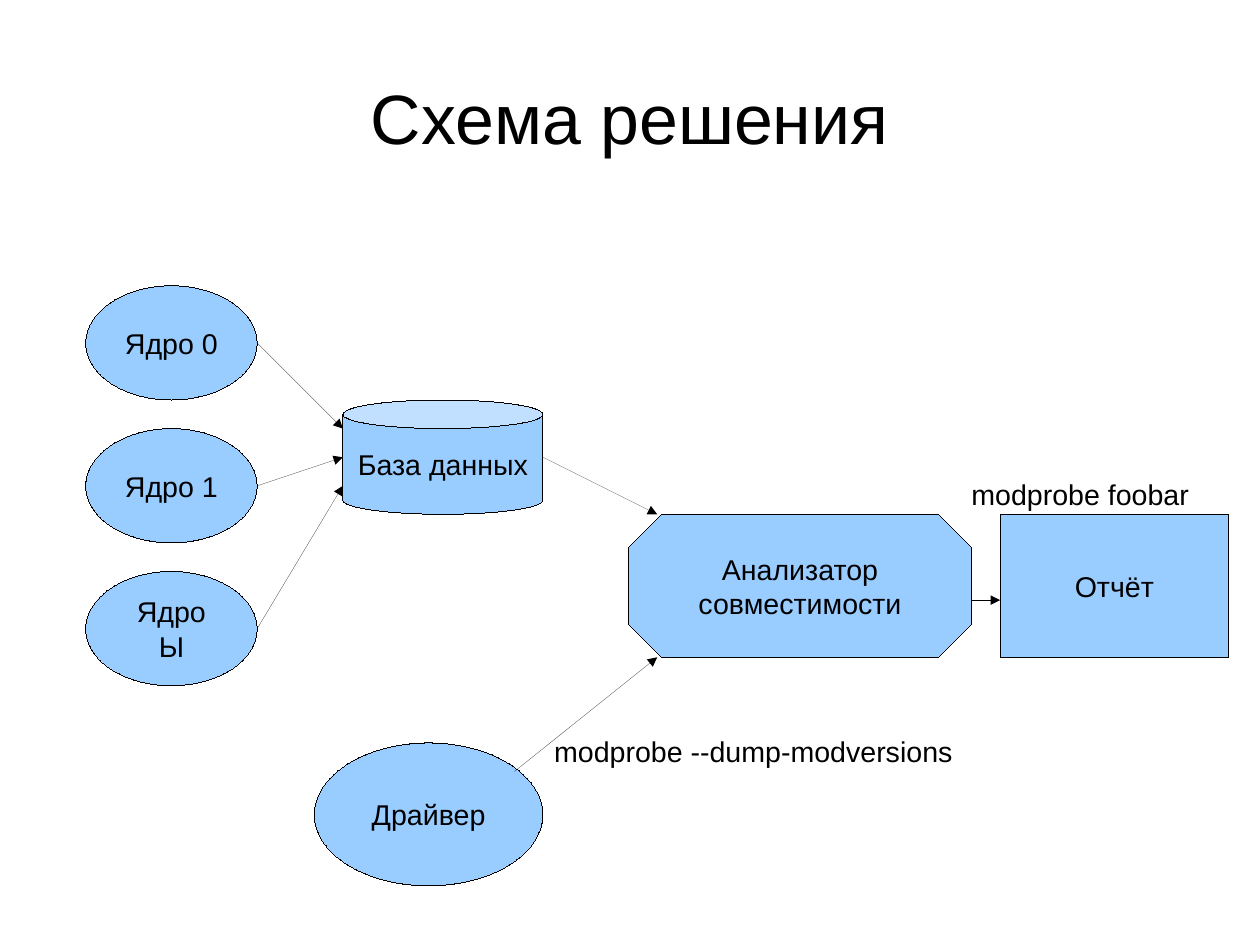
"""Build the solution diagram slide."""
from lxml import etree
from pptx import Presentation
from pptx import util as u
from pptx.dml.color import RGBColor
from pptx.enum import shapes, text
from pptx.oxml.ns import qn

TITLE = "Схема решения"
FONT, INK, FILL = "Arial", "000000", "99CCFF"
SHAPE = shapes.MSO_SHAPE
KERNELS = ["Ядро 0", "Ядро 1", "Ядро Ы"]
KERNEL_LEFT, KERNEL_TOP, KERNEL_STEP = 0.75, 2.5, 1.25
KERNEL_WIDTH, KERNEL_HEIGHT = 1.5, 1
DATABASE_LEFT, DATABASE_MIDDLE, DATABASE_STEP = 3, 4, 0.25

NODES = [
    (SHAPE.OVAL, name, (KERNEL_LEFT, KERNEL_TOP + i * KERNEL_STEP, KERNEL_WIDTH, KERNEL_HEIGHT), None)
    for i, name in enumerate(KERNELS)
] + [
    (SHAPE.CAN, "База данных", (DATABASE_LEFT, 3.5, 1.75, 1), 0.25),
    (SHAPE.RECTANGLE, "Отчёт", (8.75, 4.5, 2, 1.25), None),
    (SHAPE.OVAL, "Драйвер", (2.75, 6.5, 2, 1.25), None),
]
ANALYZER = (SHAPE.OCTAGON, "Анализатор\nсовместимости", (5.5, 4.5, 3, 1.25), 0.23)
ARROWS = [
    (KERNEL_LEFT + KERNEL_WIDTH, KERNEL_TOP + KERNEL_HEIGHT / 2 + i * KERNEL_STEP,
     DATABASE_LEFT, DATABASE_MIDDLE + (i - 1) * DATABASE_STEP)
    for i in range(len(KERNELS))
] + [
    (4.75, 4, 5.75, 4.5),
    (4.5, 6.75, 5.75, 5.75),
    (8.25, 5.25, 8.75, 5.25),
]
COMMANDS = [
    ("modprobe --dump-modversions", (4.75, 6.37, 4.5, 0.38), True),
    ("modprobe foobar", (8.4, 4.12, 2.15, 0.38), False),
]


def color(value):
    return RGBColor.from_string(value)


def inches(values):
    return [u.Inches(value) for value in values]


def write(frame, words, size, align):
    frame.text = words
    for paragraph in frame.paragraphs:
        paragraph.alignment = align
        for run in paragraph.runs:
            run.font.size = u.Pt(size)
            run.font.name = FONT
            run.font.color.rgb = color(INK)


def draw_hairline(item):
    item.line.color.rgb = color(INK)
    hairline = item._element.spPr.find(qn("a:ln"))
    hairline.set("w", "0")
    return hairline


def add_node(slide, kind, words, box, adjustment):
    node = slide.shapes.add_shape(kind, *inches(box))
    node.shadow.inherit = False
    node.fill.solid()
    node.fill.fore_color.rgb = color(FILL)
    draw_hairline(node)
    if adjustment is not None:
        node.adjustments[0] = adjustment
    node.text_frame.vertical_anchor = text.MSO_ANCHOR.MIDDLE
    write(node.text_frame, words, 18, text.PP_ALIGN.CENTER)


def add_arrow(slide, ends):
    arrow = slide.shapes.add_connector(shapes.MSO_CONNECTOR.STRAIGHT, *inches(ends))
    etree.SubElement(draw_hairline(arrow), qn("a:tailEnd"), type="triangle")
    etree.SubElement(arrow._element.spPr, qn("a:effectLst"))


def add_command(slide, words, box, wrap):
    frame = slide.shapes.add_textbox(*inches(box)).text_frame
    frame.word_wrap = wrap
    frame.auto_size = text.MSO_AUTO_SIZE.SHAPE_TO_FIT_TEXT
    write(frame, words, 18, text.PP_ALIGN.LEFT)


def add_title(slide):
    title = slide.shapes.title
    title.left, title.top, title.width, title.height = inches((0.55, 0.38, 9.92, 1.28))
    frame = title.text_frame
    frame.margin_left = frame.margin_right = frame.margin_top = frame.margin_bottom = 0
    frame.vertical_anchor = text.MSO_ANCHOR.MIDDLE
    write(frame, TITLE, 44, text.PP_ALIGN.CENTER)


def main():
    deck = Presentation()
    deck.slide_width = u.Cm(28)
    deck.slide_height = u.Cm(21)
    slide = deck.slides.add_slide(deck.slide_layouts[5])
    add_title(slide)
    for node in NODES:
        add_node(slide, *node)
    for ends in ARROWS:
        add_arrow(slide, ends)
    add_node(slide, *ANALYZER)
    for command in COMMANDS:
        add_command(slide, *command)
    deck.save("out.pptx")


if __name__ == "__main__":
    main()
